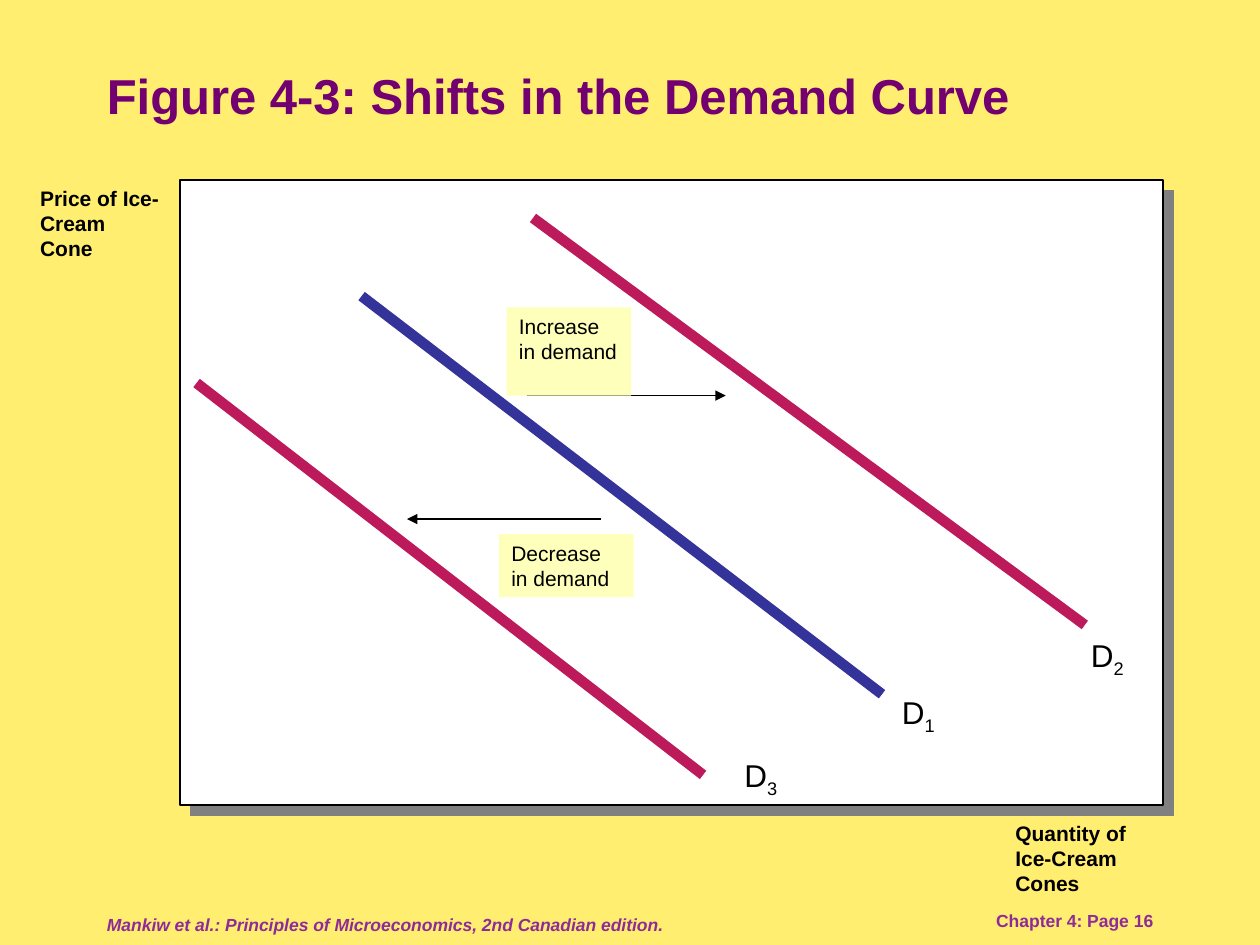
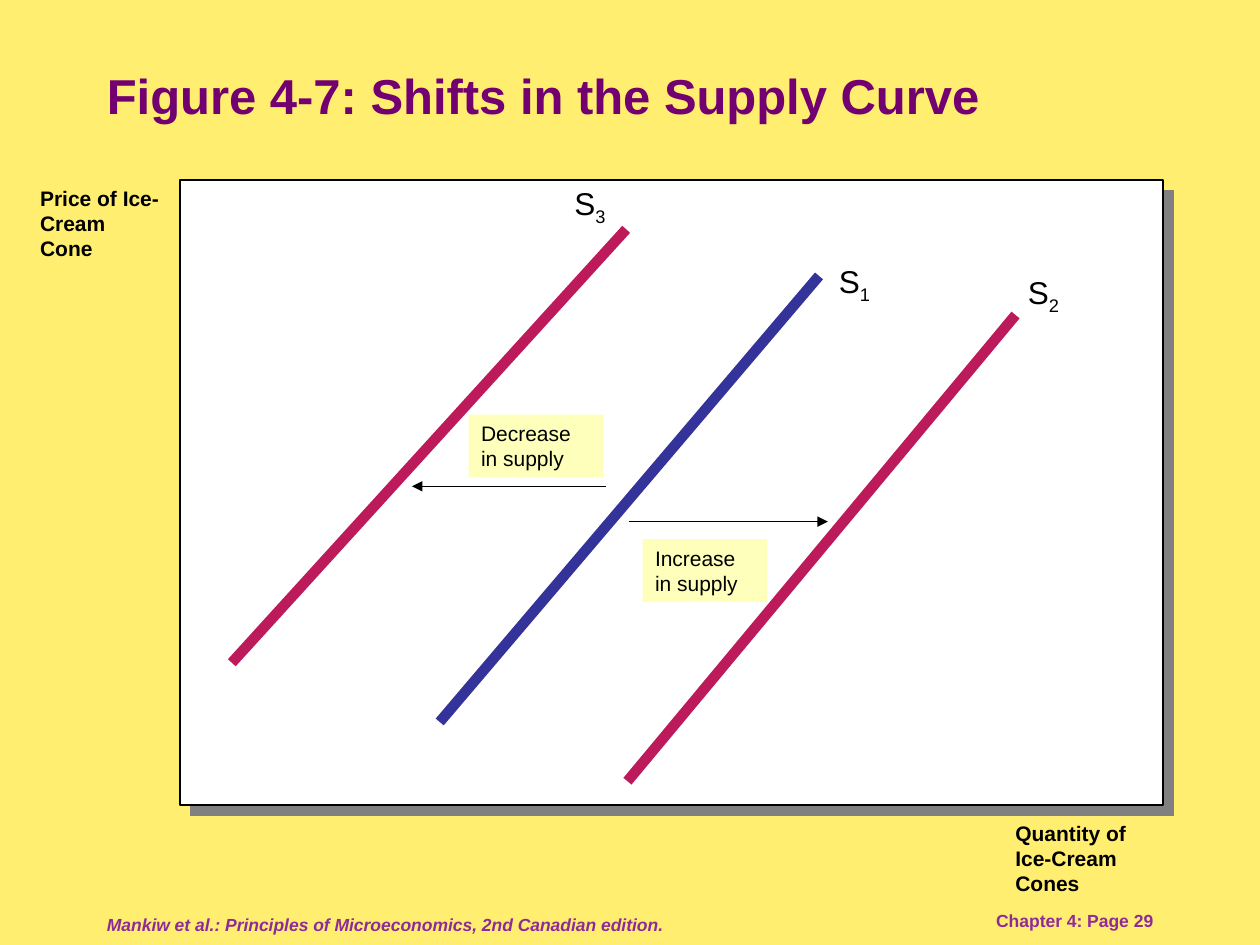
from dataclasses import dataclass

from lxml.etree import SubElement
from pptx import Presentation
from pptx.dml.color import RGBColor
from pptx.enum.shapes import MSO_CONNECTOR, MSO_SHAPE
from pptx.enum.text import MSO_ANCHOR, PP_ALIGN
from pptx.oxml.ns import qn
from pptx.util import Inches, Pt


@dataclass(frozen=True)
class Theme:
    """Colours, font and type sizes shared by all slides."""
    font: str = "Arial"
    page: str = "FFEE70"
    title: str = "720070"
    footer: str = "8F2B99"
    ink: str = "000000"
    plot: str = "FFFFFF"
    shadow: str = "808080"
    note: str = "FEFFBA"
    base_curve: str = "333399"
    shifted_curve: str = "BC1A5A"
    title_size: float = 28
    curve_size: float = 18
    body_size: float = 12
    footer_size: float = 10
    thin: float = 0.75
    thick: float = 6


THEME = Theme()
COLUMNS, ROWS = 100, 75
CELL = Inches(0.1)


@dataclass(frozen=True)
class Box:
    """A region in grid columns and rows."""
    left: float
    top: float
    width: float
    height: float

    def inner(self, left, top, width, height):
        return Box(self.left + left, self.top + top, width, height)

    def point(self, column, row):
        return cells(self.left + column, self.top + row)

    def lengths(self):
        return cells(self.left, self.top, self.width, self.height)


def cells(*counts):
    return [round(count * CELL) for count in counts]


PAGE = Box(0, 0, COLUMNS, ROWS)
TITLE = PAGE.inner(7.5, 4.2, 85, 6.7)
SOURCE = PAGE.inner(7.5, 71.7, 59.2, 3.3)
PAGE_NUMBER = PAGE.inner(71.7, 71.7, 20.8, 2.5)
PLOT = PAGE.inner(14.3, 14.3, 78, 49.6)
PRICE_AXIS = PAGE.inner(2.2, 14.2, 11.7, 7)
QUANTITY_AXIS = PAGE.inner(79.6, 64.6, 13.5, 7)


def set_values(target, values):
    for name, value in values.items():
        setattr(target, name, value)


def set_fill(shape, colour):
    shape.fill.solid()
    shape.fill.fore_color.rgb = RGBColor.from_string(colour)


def set_line(shape, colour, width):
    shape.line.color.rgb = RGBColor.from_string(colour)
    shape.line.width = Pt(width)


def write(shape, text, size, colour=THEME.ink, subscript="", anchor=MSO_ANCHOR.TOP,
          align=PP_ALIGN.LEFT, **style):
    """Fill a shape with one paragraph and an optional subscript."""
    set_values(shape.text_frame, {"word_wrap": True, "vertical_anchor": anchor})
    para = shape.text_frame.paragraphs[0]
    para.alignment = align
    for part in filter(None, (text, subscript)):
        span = para.add_run()
        span.text = part
        set_values(span.font, {"name": THEME.font, "size": Pt(size), **style})
        span.font.color.rgb = RGBColor.from_string(colour)
    if subscript:
        span.font._element.set("baseline", "-25000")


def add_text(page, box, text, size, **style):
    write(page.shapes.add_textbox(*box.lengths()), text, size, **style)


def add_rectangle(page, box, colour):
    shape = page.shapes.add_shape(MSO_SHAPE.RECTANGLE, *box.lengths())
    shape.shadow.inherit = False
    set_fill(shape, colour)
    return shape


def add_line(page, box, start, end, colour, width, arrow=False):
    line = page.shapes.add_connector(
        MSO_CONNECTOR.STRAIGHT, *box.point(*start), *box.point(*end))
    set_line(line, colour, width)
    if arrow:
        SubElement(line.line._get_or_add_ln(), qn("a:tailEnd"), type="triangle")
    SubElement(line._element.spPr, qn("a:effectLst"))


def add_frame(page, box):
    """White plot area with a hard shadow to the lower right."""
    frame = add_rectangle(page, box, THEME.plot)
    set_line(frame, THEME.ink, THEME.thin)
    effects = frame._element.spPr.find(qn("a:effectLst"))
    shadow = SubElement(effects, qn("a:outerShdw"), dist=str(Pt(8.5)),
                        dir="2700000", algn="ctr", rotWithShape="0")
    SubElement(shadow, qn("a:srgbClr"), val=THEME.shadow)


def add_curve(page, box, letter, number, start, end, label):
    """Curve 1 is the starting one; the others are its shifts."""
    colour = THEME.base_curve if number == 1 else THEME.shifted_curve
    add_line(page, box, start, end, colour, THEME.thick)
    add_text(page, box.inner(*label, 6.2, 4), letter, THEME.curve_size,
             subscript=str(number))


def add_shift(page, box, text, start, reach, note):
    """Horizontal arrow with its note."""
    column, row = start
    add_line(page, box, start, (column + reach, row), THEME.ink, THEME.thin, arrow=True)
    shape = add_rectangle(page, box.inner(*note), THEME.note)
    shape.line.fill.background()
    write(shape, text, THEME.body_size)


def add_footer(page, number):
    style = {"colour": THEME.footer, "bold": True}
    add_text(page, SOURCE,
             "Mankiw et al.: Principles of Microeconomics, 2nd Canadian edition.",
             THEME.footer_size, anchor=MSO_ANCHOR.MIDDLE, italic=True, **style)
    add_text(page, PAGE_NUMBER, f"Chapter 4: Page {number}", THEME.footer_size,
             align=PP_ALIGN.RIGHT, **style)


def add_figure_page(deck, title, number, letter, curves, shifts):
    page = deck.slides.add_slide(deck.slide_layouts[6])
    add_footer(page, number)
    # Plot area and axis names
    add_frame(page, PLOT)
    for box, name in ((PRICE_AXIS, "Price of Ice-Cream Cone"),
                      (QUANTITY_AXIS, "Quantity of Ice-Cream Cones")):
        add_text(page, box, name, THEME.body_size, bold=True)
    # Curves and the shifts between them
    for curve in curves:
        add_curve(page, PLOT, letter, *curve)
    for shift in shifts:
        add_shift(page, PLOT, *shift)
    add_text(page, TITLE, title, THEME.title_size, colour=THEME.title,
             anchor=MSO_ANCHOR.MIDDLE, bold=True)


# Curves: number, start, end, label. Shifts: text, arrow start, reach, note box.
# All places are columns and rows within the plot.
DECREASE, INCREASE = -15.4, 15.8

DEMAND_CURVES = [
    (3, (1.3, 16.1), (41.5, 47.2), (43.8, 45.2)),
    (1, (14.4, 9.2), (55.7, 40.8), (56.3, 40.2)),
    (2, (28, 3), (71.8, 35.3), (71.3, 35.7)),
]
DEMAND_SHIFTS = [
    ("Decrease in demand", (33.4, 26.9), DECREASE, (25.3, 28.1, 10.7, 5)),
    ("Increase in demand", (27.5, 17.1), INCREASE, (25.9, 10.1, 9.9, 7)),
]
SUPPLY_CURVES = [
    (3, (4.1, 38.3), (35.4, 3.9), (30.3, -0.2)),
    (2, (35.5, 47.7), (66.3, 10.7), (66.3, 6.9)),
    (1, (20.6, 43), (50.7, 7.6), (51.3, 6)),
]
SUPPLY_SHIFTS = [
    ("Decrease in supply", (33.8, 24.3), DECREASE, (22.9, 18.6, 10.7, 5)),
    ("Increase in supply", (35.6, 27.1), INCREASE, (36.7, 28.5, 9.9, 5)),
]


def main():
    deck = Presentation()
    set_values(deck, {"slide_width": COLUMNS * CELL, "slide_height": ROWS * CELL})
    set_fill(deck.slide_master.background, THEME.page)
    add_figure_page(deck, "Figure 4-3: Shifts in the Demand Curve", 16, "D",
                    DEMAND_CURVES, DEMAND_SHIFTS)
    add_figure_page(deck, "Figure 4-7: Shifts in the Supply Curve", 29, "S",
                    SUPPLY_CURVES, SUPPLY_SHIFTS)
    deck.save("out.pptx")


if __name__ == "__main__":
    main()
